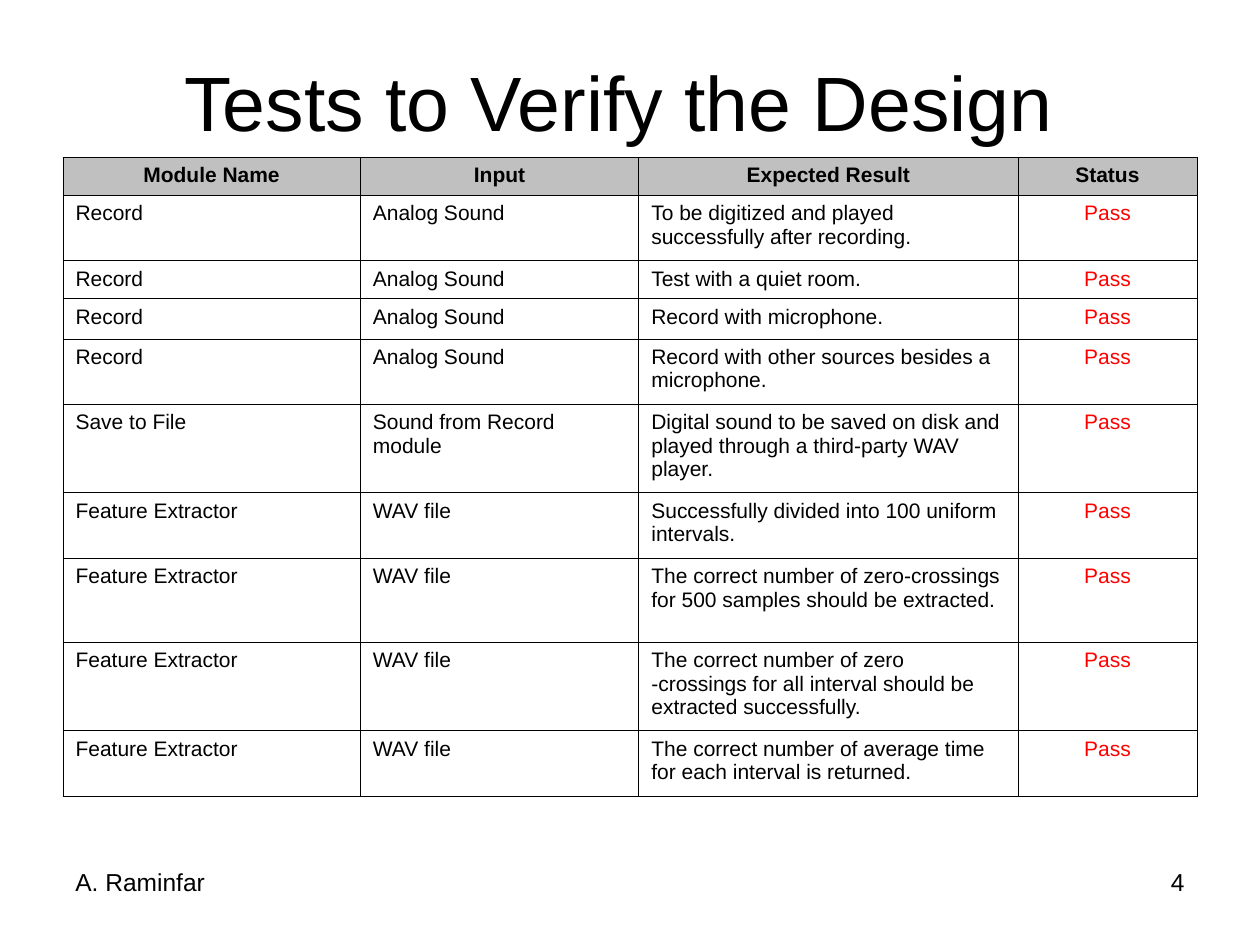
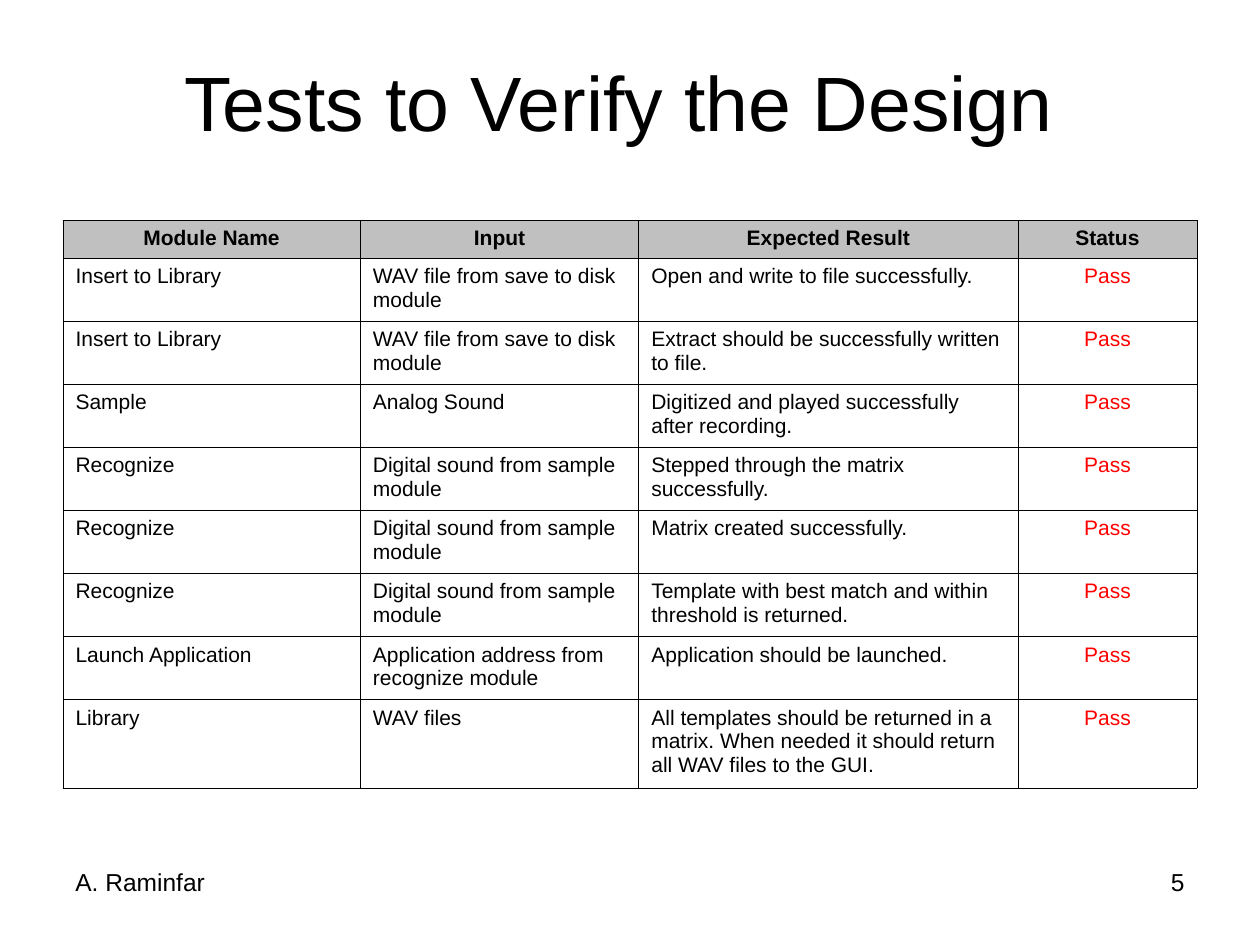
from lxml import etree
from pptx import Presentation
from pptx import util as u
from pptx.dml.color import RGBColor
from pptx.enum import text as t
from pptx.oxml.ns import qn

FONT = "Arial"
BLACK, RED, GREY = "000000", "FF0000", "C0C0C0"
LEFT, WIDTH = 0.5, 9
TITLE = "Tests to Verify the Design "
AUTHOR = "A. Raminfar"
HEADINGS = ["Module Name", "Input", "Expected Result", "Status"]
COLUMN_WIDTHS = [2.36, 2.21, 3.01, 1.42]
HEADER_HEIGHT = 0.3
STATUS = "Pass"

# Each test: row height, module name, input, expected result
RECORDING_TESTS = [
    (0.52, "Record", "Analog Sound", "To be digitized and played successfully after recording."),
    (0.3, "Record", "Analog Sound", "Test with a quiet room."),
    (0.32, "Record", "Analog Sound", "Record with microphone."),
    (0.52, "Record", "Analog Sound", "Record with other sources besides a microphone."),
    (0.7, "Save to File", "Sound from Record module",
     "Digital sound to be saved on disk and played through a third-party WAV player."),
    (0.52, "Feature Extractor", "WAV file", "Successfully divided into 100 uniform intervals."),
    (0.67, "Feature Extractor", "WAV file",
     "The correct number of zero-crossings for 500 samples should be extracted."),
    (0.7, "Feature Extractor", "WAV file",
     "The correct number of zero -crossings for all interval should be extracted successfully."),
    (0.52, "Feature Extractor", "WAV file",
     "The correct number of average time for each interval is returned."),
]
LIBRARY_TESTS = [
    (0.5, "Insert to Library", "WAV file from save to disk module",
     "Open and write to file successfully."),
    (0.5, "Insert to Library", "WAV file from save to disk module",
     "Extract should be successfully written to file."),
    (0.5, "Sample", "Analog Sound", "Digitized and played successfully after recording."),
    (0.5, "Recognize", "Digital sound from sample module",
     "Stepped through the matrix successfully."),
    (0.5, "Recognize", "Digital sound from sample module", "Matrix created successfully."),
    (0.5, "Recognize", "Digital sound from sample module",
     "Template with best match and within threshold is returned."),
    (0.5, "Launch Application", "Application address from recognize module",
     "Application should be launched."),
    (0.7, "Library", "WAV files",
     "All templates should be returned in a matrix. "
     "When needed it should return all WAV files to the GUI."),
]


def color(value):
    return RGBColor.from_string(value)


def write(frame, content, size=12, ink=BLACK, bold=False, align=t.PP_ALIGN.LEFT):
    para = frame.paragraphs[0]
    para.alignment = align
    span = para.add_run()
    span.text = content
    span.font.name = FONT
    span.font.size = u.Pt(size)
    span.font.bold = bold
    span.font.color.rgb = color(ink)


def add_text(page, content, left, top, width, height, anchor=t.MSO_ANCHOR.TOP, **style):
    box = page.shapes.add_textbox(*map(u.Inches, (left, top, width, height)))
    box.text_frame.word_wrap = True
    box.text_frame.vertical_anchor = anchor
    write(box.text_frame, content, **style)


def add_borders(cell, ink=BLACK, points=0.45):
    properties = cell._tc.get_or_add_tcPr()
    for side in ("lnL", "lnR", "lnT", "lnB"):
        line = etree.SubElement(properties, qn(f"a:{side}"), w=str(u.Pt(points)))
        fill = etree.SubElement(line, qn("a:solidFill"))
        etree.SubElement(fill, qn("a:srgbClr"), val=ink)


def add_test_table(page, tests, left, top, width):
    heights = [HEADER_HEIGHT] + [test[0] for test in tests]
    rows = [HEADINGS] + [[*test[1:], STATUS] for test in tests]
    table = page.shapes.add_table(
        len(rows), len(HEADINGS),
        *map(u.Inches, (left, top, width, sum(heights)))).table
    table.first_row = table.horz_banding = False
    for column, column_width in zip(table.columns, COLUMN_WIDTHS):
        column.width = u.Inches(column_width)
    for row_index, (height, values) in enumerate(zip(heights, rows)):
        table.rows[row_index].height = u.Inches(height)
        is_header = row_index == 0
        for column_index, value in enumerate(values):
            is_status = column_index == len(HEADINGS) - 1
            cell = table.cell(row_index, column_index)
            add_borders(cell)
            if is_header:
                cell.fill.solid()
                cell.fill.fore_color.rgb = color(GREY)
            else:
                cell.fill.background()
            write(cell.text_frame, value, bold=is_header,
                  ink=RED if is_status and not is_header else BLACK,
                  align=t.PP_ALIGN.CENTER if is_header or is_status else t.PP_ALIGN.LEFT)


def add_footer(page, number, left, top, width, height=0.52, part=2.33):
    add_text(page, str(number), left + width - part, top, part, height,
             size=14, align=t.PP_ALIGN.RIGHT)
    add_text(page, AUTHOR, left, top, part, height, size=14)


def add_test_page(deck, number, tests, table_top):
    page = deck.slides.add_slide(deck.slide_layouts[6])
    add_text(page, TITLE, LEFT, 0.17, WIDTH, 1.25, anchor=t.MSO_ANCHOR.MIDDLE,
             size=44, align=t.PP_ALIGN.CENTER)
    add_test_table(page, tests, LEFT, table_top, WIDTH)
    add_footer(page, number, LEFT, 6.83, WIDTH)


def main():
    deck = Presentation()
    deck.slide_width, deck.slide_height = u.Inches(10), u.Inches(7.5)
    add_test_page(deck, 4, RECORDING_TESTS, table_top=1.25)
    add_test_page(deck, 5, LIBRARY_TESTS, table_top=1.75)
    deck.save("out.pptx")


if __name__ == "__main__":
    main()
